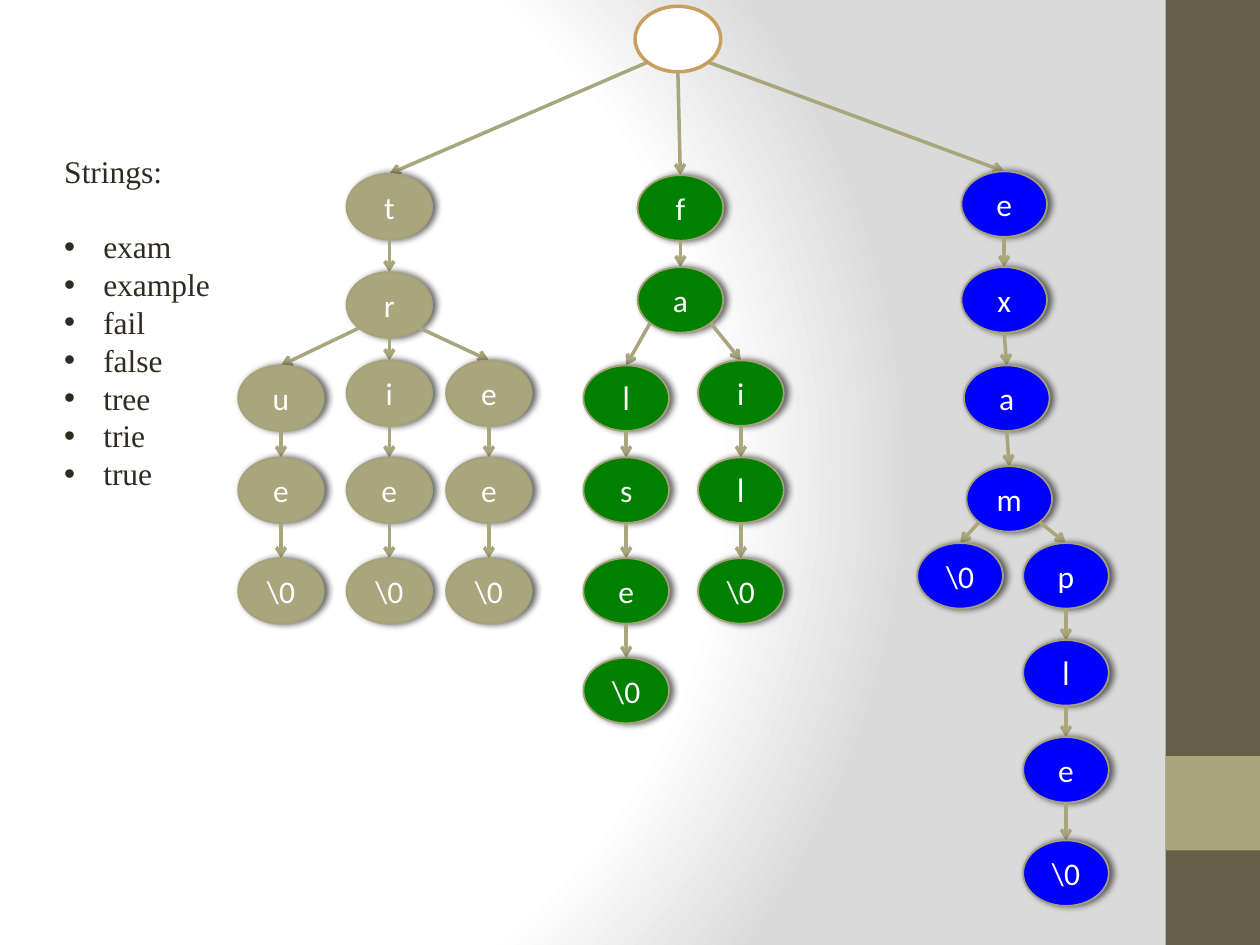
import pptx
import pptx.dml.color
import pptx.enum.shapes
import pptx.enum.text
import pptx.oxml
import pptx.oxml.ns
import pptx.util

Inches, Pt = pptx.util.Inches, pptx.util.Pt
RGBColor = pptx.dml.color.RGBColor
SHAPE = pptx.enum.shapes.MSO_SHAPE

WHITE = RGBColor(0xFF, 0xFF, 0xFF)
INK = RGBColor(0x2F, 0x2B, 0x20)
BROWN = RGBColor(0x67, 0x5E, 0x47)
SAND = RGBColor(0xA9, 0xA5, 0x7C)
RIM = RGBColor(0xA6, 0xA2, 0x78)
GOLD = RGBColor(0xC8, 0x9F, 0x5D)
GREEN = RGBColor(0x00, 0x80, 0x00)
BLUE = RGBColor(0x00, 0x00, 0xFF)

NODE_W, NODE_H = 0.68, 0.52
SLOPE = 0.5 ** 0.5
NODE_FONT = {"size": Pt(18), "name": "Calibri"}
LIST_FONT = {"size": Pt(18), "name": "Times New Roman"}
WORDS = ["exam", "example", "fail", "false", "tree", "trie", "true"]

# Each chain: left, letters, tops, branches
T_CHAIN = (0.86, "t r", [1.33, 2.11], [
    (0, r"u e \0", [2.85, 3.58, 4.38], []),
    (0.86, r"i e \0", [2.81, 3.58, 4.38], []),
    (1.65, r"e e \0", [2.81, 3.58, 4.38], [])])
F_CHAIN = (3.17, "f a", [1.34, 2.07], [
    (2.74, r"l s e \0", [2.85, 3.58, 4.38, 5.17], []),
    (3.65, r"i l \0", [2.81, 3.58, 4.38], [])])
E_CHAIN = (5.74, "e x", [1.31, 2.07], [
    (5.76, "a", [2.85], [
        (5.78, "m", [3.65], [
            (5.39, r"\0", [4.26], []),
            (6.23, r"p l e \0", [4.26, 5.03, 5.8, 6.62], [])])])])


def make(tag, attrs="", inner=""):
    """Return a drawing element with the given attributes and content."""
    space = pptx.oxml.ns.nsdecls("a")
    return pptx.oxml.parse_xml(f"<a:{tag} {space} {attrs}>{inner}</a:{tag}>")


def style(font, form, color):
    """Apply a dict of font values and a colour."""
    for key, value in form.items():
        setattr(font, key, value)
    font.color.rgb = color


def paint_back(slide):
    """Fill the slide with a circular white to grey gradient."""
    slide.background.fill.solid()
    back = slide.element.find(".//" + pptx.oxml.ns.qn("p:bgPr"))
    stops = "".join(
        f'<a:gs pos="{at * 1000}"><a:srgbClr val="{tone}"/></a:gs>'
        for at, tone in [(0, "FFFFFF"), (75, "FFFFFF"), (100, "DADADA")])
    centre = '<a:fillToRect l="20000" t="50000" r="100000" b="50000"/>'
    back.replace(back[0], make(
        "gradFill", 'rotWithShape="1"',
        f'<a:gsLst>{stops}</a:gsLst><a:path path="circle">{centre}</a:path>'))


def add_form(slide, kind, box, fill):
    """Add a filled preset shape without line or shadow."""
    shape = slide.shapes.add_shape(kind, *map(Inches, box))
    shape.shadow.inherit = False
    shape.fill.solid()
    shape.fill.fore_color.rgb = fill
    shape.line.fill.background()
    return shape


def add_band(slide, box):
    """Draw the side band with its lighter square."""
    left, top, width, height = box
    add_form(slide, SHAPE.RECTANGLE, box, BROWN)
    add_form(slide, SHAPE.RECTANGLE,
             (left, top + height - 2 * width, width, width), SAND)


def add_list(slide, box):
    """Place the heading and bulleted words in the body placeholder."""
    body = slide.placeholders[1]
    body.left, body.top, body.width, body.height = map(Inches, box)
    frame = body.text_frame
    frame.word_wrap = False
    frame.auto_size = pptx.enum.text.MSO_AUTO_SIZE.NONE
    for rank, word in enumerate(["Strings:"] + WORDS):
        para = frame.paragraphs[0] if rank == 0 else frame.add_paragraph()
        props = para._p.get_or_add_pPr()
        hang = Inches(0.31) if rank else 0
        props.set("marL", str(hang))
        props.set("indent", str(-hang))
        if rank:
            props.append(make("buFont", 'typeface="Arial"'))
            props.append(make("buChar", 'char="•"'))
        else:
            props.append(make("buNone"))
        para.line_spacing = Pt(21.6)
        para.space_before = Pt(21.3 if rank == 1 else 0)
        run = para.add_run()
        run.text = word
        style(run.font, LIST_FONT, INK)


def add_node(slide, spot, letter, fill):
    """Draw one shadowed letter node."""
    node = add_form(slide, SHAPE.OVAL, (*spot, NODE_W, NODE_H), fill)
    node.line.color.rgb = RIM
    node.line.width = Pt(1)
    shade = '<a:srgbClr val="000000"><a:alpha val="60000"/></a:srgbClr>'
    node._element.spPr.find(pptx.oxml.ns.qn("a:effectLst")).append(make(
        "outerShdw",
        f'blurRad="{Pt(4)}" dist="{Pt(2)}" dir="0" rotWithShape="0"', shade))
    para = node.text_frame.paragraphs[0]
    para.alignment = pptx.enum.text.PP_ALIGN.CENTER
    run = para.add_run()
    run.text = letter
    style(run.font, NODE_FONT, WHITE)
    if letter == "l":
        run.font.name = "Roboto Condensed"


def add_edge(slide, start, end):
    """Draw an arrow from a node's lower rim to the top of its child."""
    shift = end[0] - start[0]
    x, y = start[0] + NODE_W / 2, start[1] + NODE_H
    if abs(shift) > 0.1:
        x += NODE_W / 2 * SLOPE * (1 if shift > 0 else -1)
        y -= NODE_H / 2 * (1 - SLOPE)
    ends = (x, y, end[0] + NODE_W / 2, end[1])
    edge = slide.shapes.add_connector(
        pptx.enum.shapes.MSO_CONNECTOR.STRAIGHT, *map(Inches, ends))
    edge.line.color.rgb = SAND
    edge.line.width = Pt(2)
    edge.line._get_or_add_ln().append(make("tailEnd", 'type="arrow"'))
    edge._element.spPr.append(make("effectLst"))


def add_chain(slide, box, parent, chain, fill):
    """Draw a chain of nodes below its parent, then its branches."""
    left, letters, tops, branches = chain
    for letter, top in zip(letters.split(), tops):
        spot = (box[0] + left, box[1] + top)
        add_edge(slide, parent, spot)
        add_node(slide, spot, letter, fill)
        parent = spot
    for branch in branches:
        add_chain(slide, box, parent, branch, fill)


def add_trie(slide, box):
    """Draw the root and the three coloured subtrees."""
    spot = (box[0] + 3.15, box[1])
    root = add_form(slide, SHAPE.OVAL, (*spot, NODE_W, NODE_H), WHITE)
    root.line.color.rgb = GOLD
    root.line.width = Pt(2)
    for chain, fill in [(T_CHAIN, SAND), (F_CHAIN, GREEN), (E_CHAIN, BLUE)]:
        add_chain(slide, box, spot, chain, fill)


def main():
    """Build and save the slide."""
    deck = pptx.Presentation()
    deck.slide_width, deck.slide_height = Inches(10), Inches(7.5)
    slide = deck.slides.add_slide(deck.slide_layouts[1])
    title = slide.shapes.title.element
    title.getparent().remove(title)
    paint_back(slide)
    add_band(slide, (9.25, 0, 0.75, 7.5))
    add_list(slide, (0.41, 1.16, 1.37, 2.83))
    add_trie(slide, (1.89, 0.05, 6.91, 7.14))
    deck.save("out.pptx")


if __name__ == "__main__":
    main()
